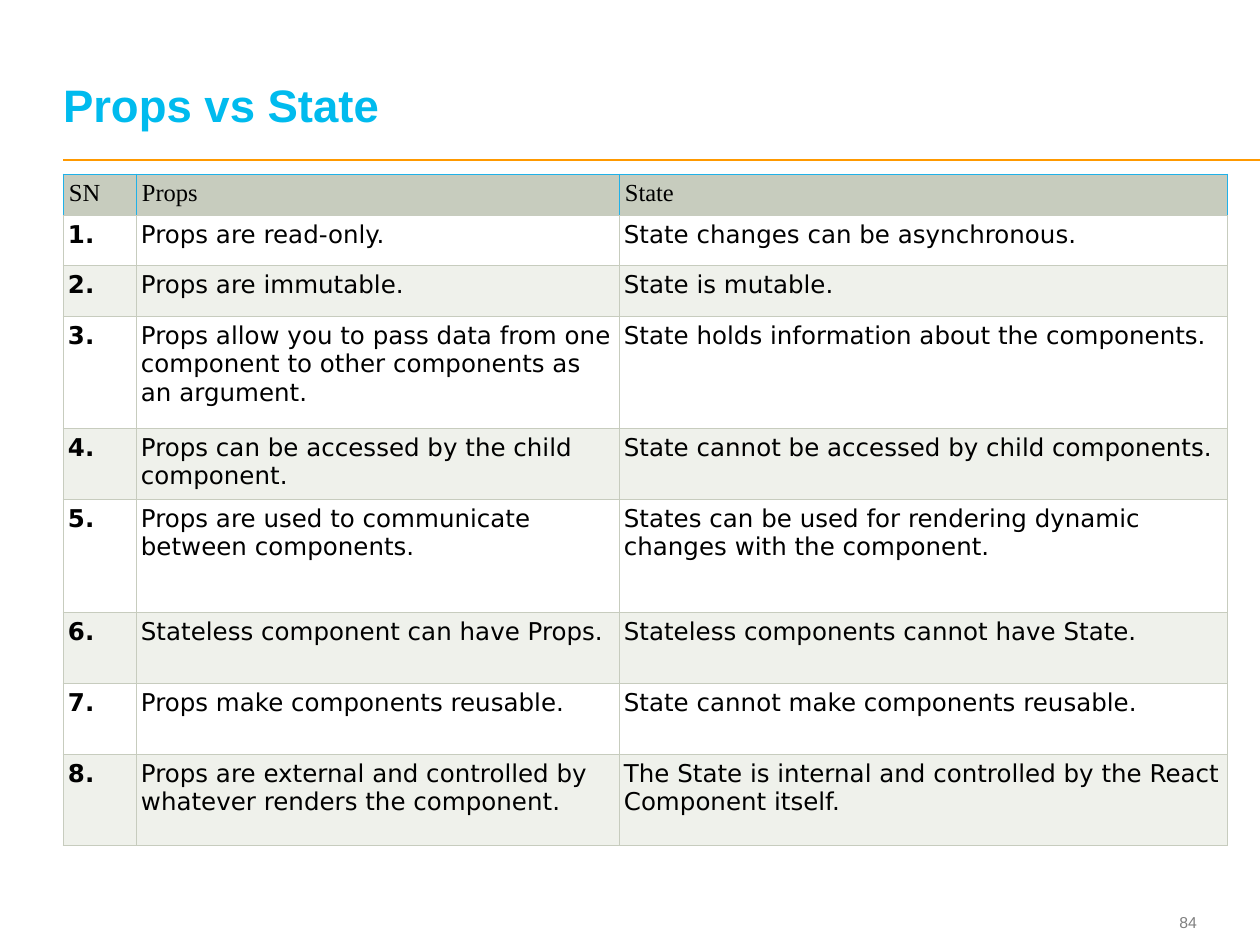
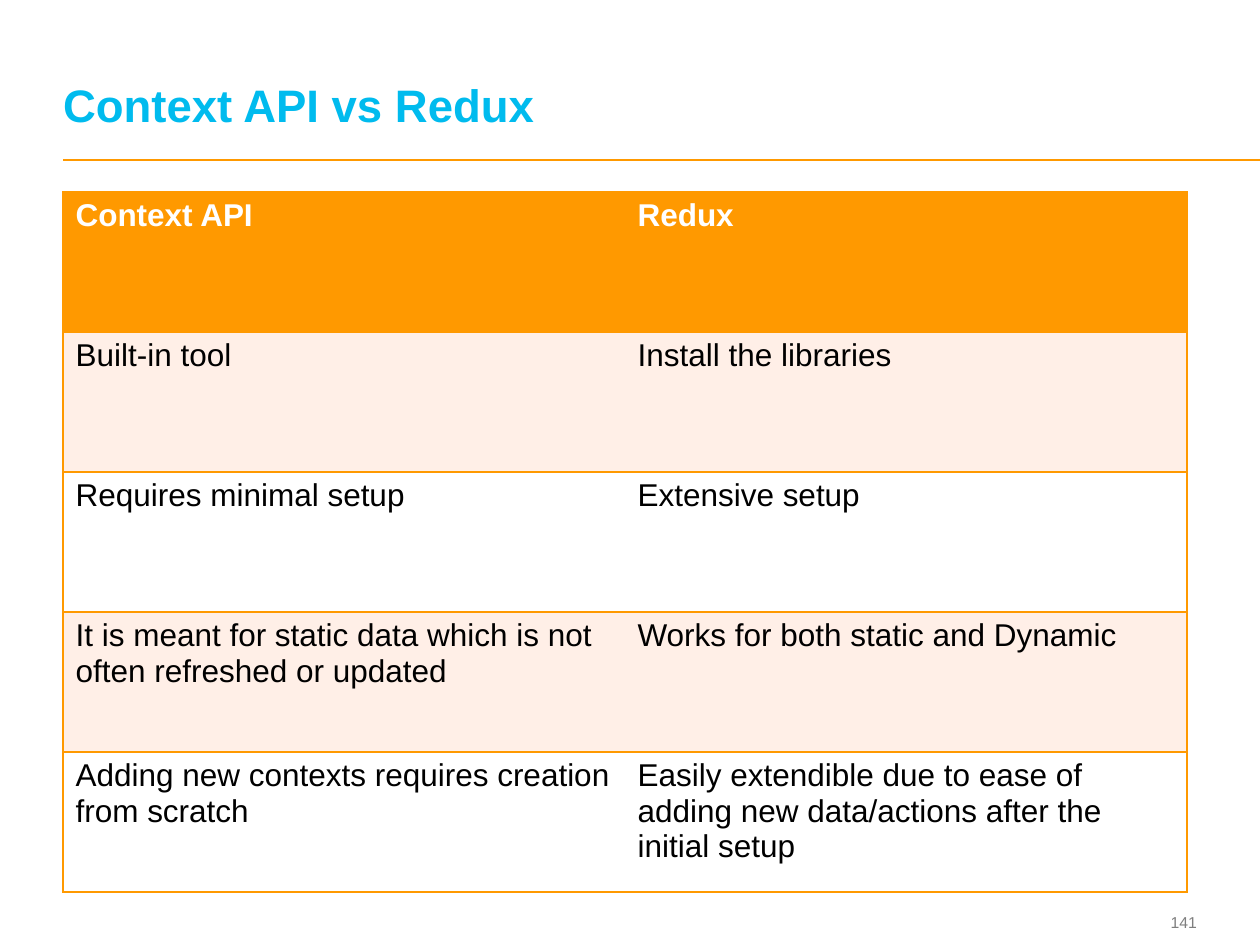
from lxml.etree import SubElement
from pptx import Presentation
from pptx.dml.color import RGBColor as RGB
from pptx.enum.shapes import MSO_CONNECTOR as LINK
from pptx.enum.text import MSO_ANCHOR as ANCHOR, PP_ALIGN as ALIGN
from pptx.oxml.ns import qn
from pptx.util import Pt

SCALE = 914400 / 126
WIDTH, HEIGHT = 1260, 945
LEFT = 63

SKY = RGB(0x00, 0xBB, 0xEE)
BLUE = RGB(0x20, 0xB1, 0xE8)
ORANGE = RGB(0xFF, 0x99, 0x00)
PEACH = RGB(0xFF, 0xEF, 0xE7)
SAGE = RGB(0xC7, 0xCC, 0xBE)
MIST = RGB(0xEF, 0xF1, 0xEB)
GREY = RGB(0x7F, 0x7F, 0x7F)
WHITE = RGB(0xFF, 0xFF, 0xFF)
BLACK = RGB(0x00, 0x00, 0x00)

SANS, SERIF, WIDE = "Arial", "Times New Roman", "DejaVu Sans"

PROPS = [
    ("SN", "Props", "State"),
    ("1.", "Props are read-only.", "State changes can be asynchronous."),
    ("2.", "Props are immutable.", "State is mutable."),
    ("3.", "Props allow you to pass data from one component to other components as an argument.",
     "State holds information about the components."),
    ("4.", "Props can be accessed by the child component.",
     "State cannot be accessed by child components."),
    ("5.", "Props are used to communicate between components.",
     "States can be used for rendering dynamic changes with the component."),
    ("6.", "Stateless component can have Props.", "Stateless components cannot have State."),
    ("7.", "Props make components reusable.", "State cannot make components reusable."),
    ("8.", "Props are external and controlled by whatever renders the component.",
     "The State is internal and controlled by the React Component itself."),
]
REDUX = [
    ("Context API", "Redux"),
    ("Built-in tool", "Install the libraries"),
    ("Requires minimal setup", "Extensive setup"),
    ("It is meant for static data which is not often refreshed or updated",
     "Works for both static and Dynamic"),
    ("Adding new contexts requires creation from scratch",
     "Easily extendible due to ease of adding new data/actions after the initial setup"),
]


def px(*sizes):
    return [round(size * SCALE) for size in sizes]


def style(para, size, name, color, bold=False):
    for run in para.runs:
        font = run.font
        font.size, font.name, font.bold = Pt(size), name, bold
        font.color.rgb = color


def add_text(slide, box, text, anchor):
    """Add a text box without insets and return its paragraph."""
    frame = slide.shapes.add_textbox(*px(*box)).text_frame
    frame.word_wrap = True
    frame.vertical_anchor = anchor
    frame.margin_left = frame.margin_right = 0
    frame.margin_top = frame.margin_bottom = 0
    frame.text = text
    return frame.paragraphs[0]


def add_rule(slide):
    rule = slide.shapes.add_connector(LINK.STRAIGHT, *px(LEFT, 160, WIDTH, 160))
    rule.line.color.rgb = ORANGE
    rule.line.width = Pt(1)
    SubElement(rule._element.spPr, qn("a:effectLst"))


def add_page(deck, title, number):
    slide = deck.slides.add_slide(deck.slide_layouts[6])
    add_rule(slide)
    para = add_text(slide, (1123, 905, 74, 34), number, ANCHOR.MIDDLE)
    para.alignment = ALIGN.RIGHT
    style(para, 9, SANS, GREY)
    para = add_text(slide, (LEFT, 24, 1130, 108), title, ANCHOR.BOTTOM)
    para.line_spacing = Pt(26)
    style(para, 26, SANS, SKY, True)
    return slide


def set_edges(cell, colors, width):
    """Draw the left, right, top and bottom edges; None leaves one open."""
    props = cell._tc.get_or_add_tcPr()
    for side, color in zip("LRTB", colors):
        line = SubElement(props, qn(f"a:ln{side}"), w=str(Pt(width)))
        if color is None:
            SubElement(line, qn("a:noFill"))
        else:
            fill = SubElement(line, qn("a:solidFill"))
            SubElement(fill, qn("a:srgbClr"), val=str(color))


def add_grid(slide, top, cols, rows, data, dress):
    """Add a table and let dress(cell, row, col) format each cell."""
    box = px(LEFT, top, sum(cols), sum(rows))
    table = slide.shapes.add_table(len(rows), len(cols), *box).table
    table.horz_banding = False
    for col, width in zip(table.columns, px(*cols)):
        col.width = width
    for row, height in zip(table.rows, px(*rows)):
        row.height = height
    for r, texts in enumerate(data):
        for c, text in enumerate(texts):
            cell = table.cell(r, c)
            cell.text_frame.text = text
            dress(cell, r, c)


def paint(cell, row, head, bands):
    cell.fill.solid()
    cell.fill.fore_color.rgb = bands[row % 2] if row else head


def dress_props(cell, row, col):
    side = SAGE if row else BLUE
    set_edges(cell, (side, side, side, SAGE), 0.6)
    paint(cell, row, SAGE, (MIST, WHITE))
    inset, = px(5 if row else 6)
    cell.margin_left = cell.margin_right = inset
    cell.margin_top = cell.margin_bottom = inset
    name = WIDE if row else SERIF
    style(cell.text_frame.paragraphs[0], 14, name, BLACK, row > 0 and col == 0)


def dress_redux(cell, row, col):
    left, right = (None, ORANGE) if col else (ORANGE, None)
    set_edges(cell, (left, right, ORANGE, ORANGE), 1)
    paint(cell, row, ORANGE, (WHITE, PEACH))
    color = BLACK if row else WHITE
    style(cell.text_frame.paragraphs[0], 18, SANS, color, row == 0)


def main():
    deck = Presentation()
    deck.slide_width, deck.slide_height = px(WIDTH, HEIGHT)

    slide = add_page(deck, "Props vs State", "84")
    rows = [41, 50, 51, 112, 71, 113, 71, 71, 91]
    add_grid(slide, 174, [73, 483, 609], rows, PROPS, dress_props)

    slide = add_page(deck, "Context API vs Redux", "141")
    add_grid(slide, 192, [562] * 2, [140] * 5, REDUX, dress_redux)

    deck.save("out.pptx")


if __name__ == "__main__":
    main()
